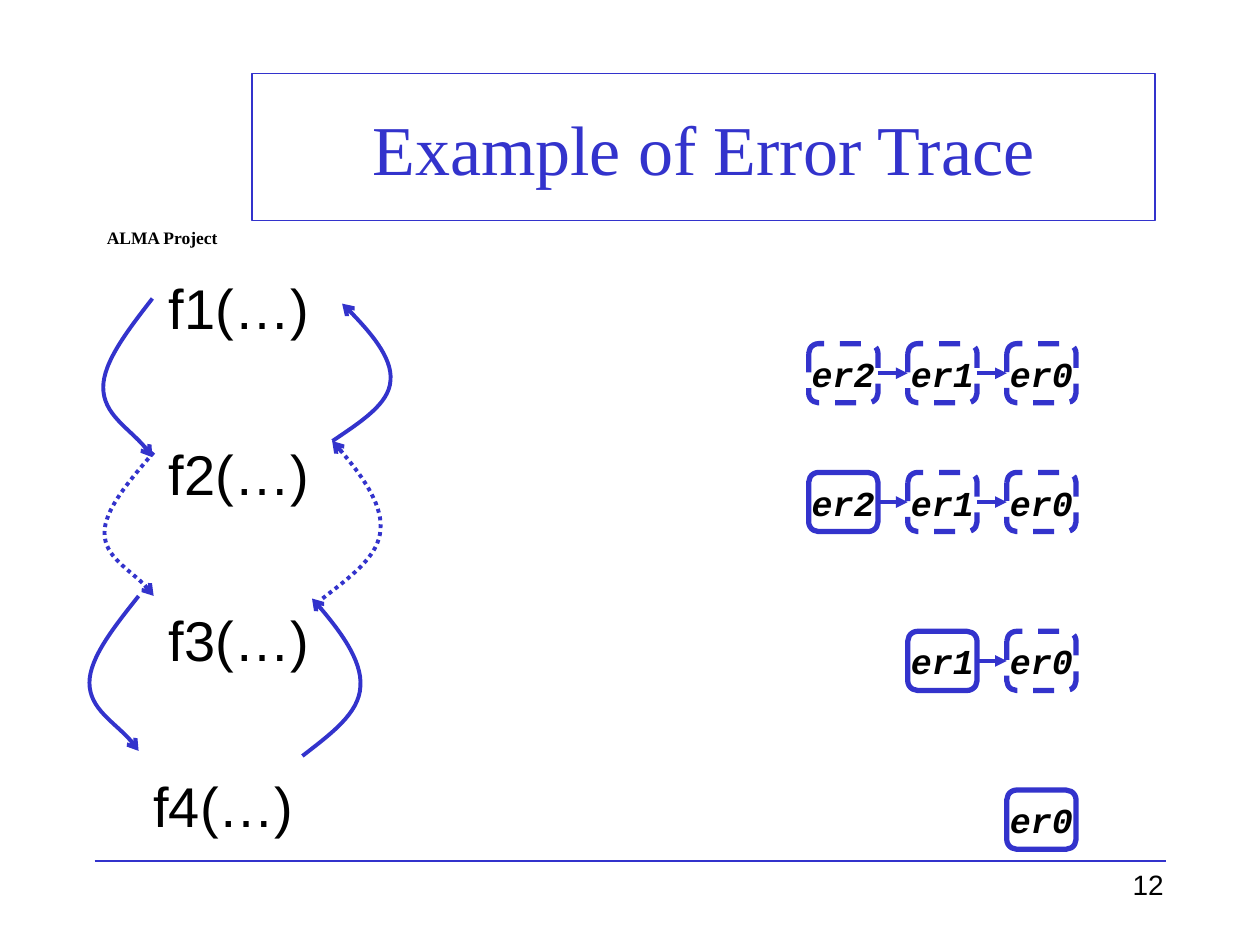
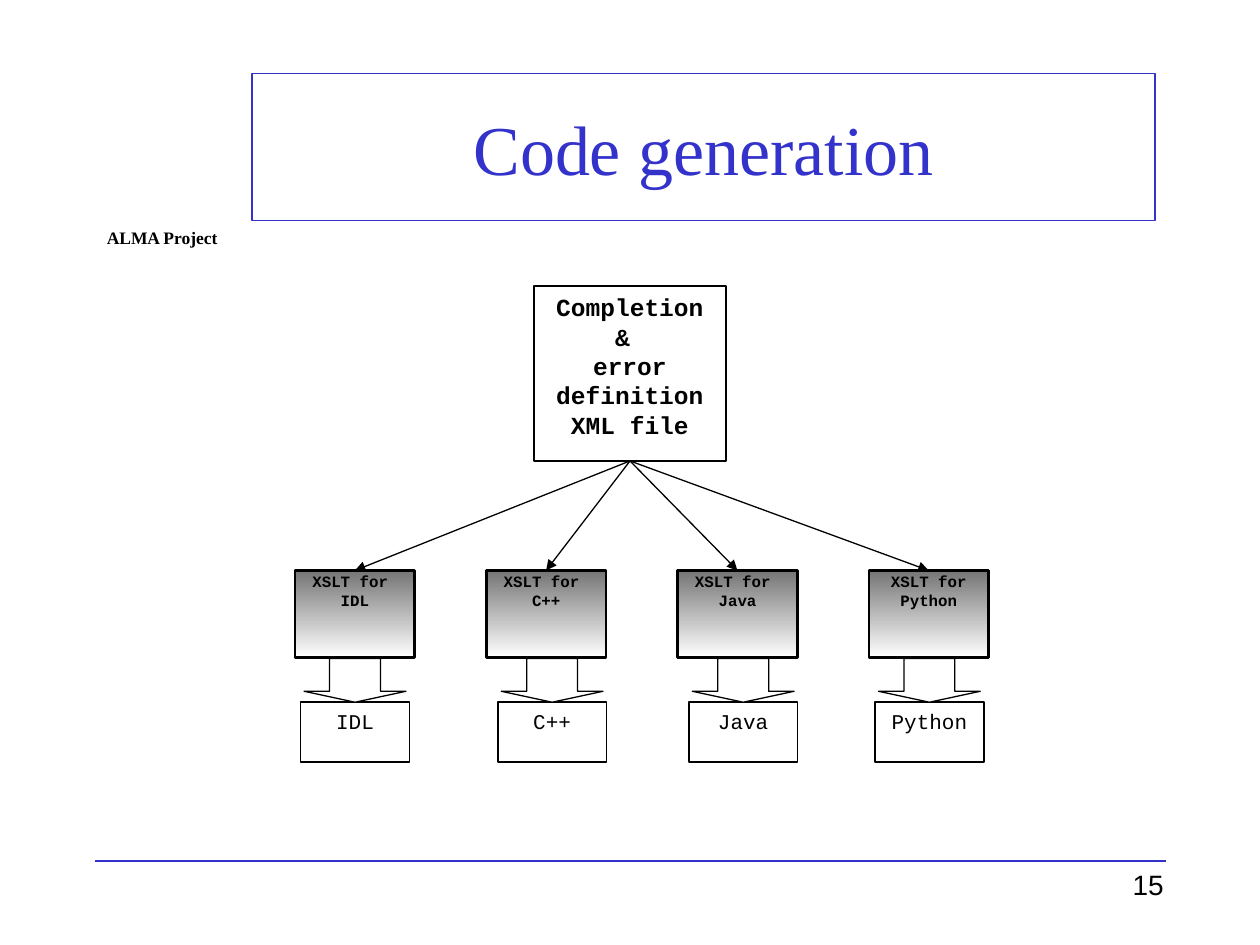
from dataclasses import dataclass
from itertools import pairwise
from typing import Any

from lxml.etree import SubElement
from pptx import Presentation
from pptx.dml.color import RGBColor
from pptx.enum.dml import MSO_LINE
from pptx.enum.shapes import MSO_CONNECTOR, MSO_SHAPE
from pptx.enum.text import MSO_ANCHOR, PP_ALIGN
from pptx.oxml.ns import qn
from pptx.util import Pt

COLORS = {"blue": "3333CC", "black": "000000", "white": "FFFFFF", "gray": "757575"}
SANS, SERIF, MONO = "Arial", "Times New Roman", "Courier New"
TOP, LEFT, BOTTOM, RIGHT = range(4)

# Points of the two call arcs, as fractions of width and height
CALL_PROFILE = [(1, 0), (0.5, 0.2), (0, 0.4), (0, 0.56), (0, 0.73), (0.7, 0.85), (1, 1)]
RETURN_PROFILE = [(0, 1), (0.47, 0.86), (0.94, 0.73), (0.96, 0.56), (1, 0.39),
                  (0.43, 0.11), (0.16, 0)]


@dataclass(frozen=True)
class Arc:
    left: float
    top: float
    width: float
    height: float
    profile: list
    dotted: bool = False


@dataclass(frozen=True)
class ErrorStack:
    top: float
    errors: tuple
    newest_is_solid: bool = True


@dataclass(frozen=True)
class Target:
    language: str
    label: str
    output_left: float


ARCS = [
    Arc(59, 170.6, 28.1, 90.7, CALL_PROFILE),
    Arc(59.7, 258.5, 28.1, 82, CALL_PROFILE, dotted=True),
    Arc(51.1, 340.6, 28.1, 88.5, CALL_PROFILE),
    Arc(172.8, 342, 34.5, 90, RETURN_PROFILE),
    Arc(184.3, 252, 34.5, 90, RETURN_PROFILE, dotted=True),
    Arc(190, 173.5, 34.5, 78.5, RETURN_PROFILE),
]
STACKS = [
    ErrorStack(196.4, ("er2", "er1", "er0"), newest_is_solid=False),
    ErrorStack(270, ("er2", "er1", "er0")),
    ErrorStack(360.8, ("er1", "er0")),
    ErrorStack(451.5, ("er0",)),
]
TARGETS = [
    Target("IDL", "XSLT for \nIDL", 171.8),
    Target("C++", "XSLT for \nC++", 284.4),
    Target("Java", "XSLT for \nJava", 393.6),
    Target("Python", "XSLT for Python", 500),
]


def rgb(name: str) -> RGBColor:
    return RGBColor.from_string(COLORS[name])


def write(frame: Any, text: str, *, size: float, font: str, color: str = "black",
          bold: bool = False, italic: bool = False, align: PP_ALIGN = PP_ALIGN.LEFT,
          indent: float = 0, before: float = 0, new: bool = False) -> None:
    """Fill the first paragraph, or a new one; line feeds become line breaks."""
    para = frame.add_paragraph() if new else frame.paragraphs[0]
    para.alignment = align
    if indent:
        para._p.get_or_add_pPr().set("marL", str(Pt(indent)))
    if before:
        para.space_before = Pt(before)
    for number, line in enumerate(text.split("\n")):
        if number:
            para.add_line_break()
        span = para.add_run()
        span.text = line
        span.font.size, span.font.name = Pt(size), font
        span.font.bold, span.font.italic = bold, italic
        span.font.color.rgb = rgb(color)
    for line_break in para._p.findall(qn("a:br")):
        SubElement(line_break, qn("a:rPr"), sz=str(int(size * 100)))


def add_text(page: Any, left: float, top: float, width: float, height: float) -> Any:
    frame = page.shapes.add_textbox(Pt(left), Pt(top), Pt(width), Pt(height)).text_frame
    frame.word_wrap = True
    return frame


def add_box(page: Any, left: float, top: float, width: float, height: float, *,
            kind: MSO_SHAPE = MSO_SHAPE.RECTANGLE, fill: str | None = "white",
            line: str = "black", weight: float = 1,
            anchor: MSO_ANCHOR = MSO_ANCHOR.TOP) -> Any:
    box = page.shapes.add_shape(kind, Pt(left), Pt(top), Pt(width), Pt(height))
    box.shadow.inherit = False
    if fill:
        box.fill.solid()
        box.fill.fore_color.rgb = rgb(fill)
    else:
        box.fill.background()
    box.line.color.rgb = rgb(line)
    box.line.width = Pt(weight)
    box.text_frame.word_wrap = True
    box.text_frame.vertical_anchor = anchor
    return box


def add_head(shape: Any, kind: str) -> None:
    """Put an arrowhead at the end of a shape whose line is already set."""
    SubElement(shape.element.spPr.find(qn("a:ln")), qn("a:tailEnd"), type=kind)


def add_line(page: Any, start: tuple = (0, 0), end: tuple = (0, 0), *,
             color: str = "black", weight: float = 1) -> Any:
    connector = page.shapes.add_connector(
        MSO_CONNECTOR.STRAIGHT, *(Pt(value) for value in (*start, *end)))
    connector.line.color.rgb = rgb(color)
    connector.line.width = Pt(weight)
    SubElement(connector.element.spPr, qn("a:effectLst"))
    return connector


def join(page: Any, source: Any, source_side: int, goal: Any, goal_side: int, *,
         color: str, weight: float) -> None:
    connector = add_line(page, color=color, weight=weight)
    connector.begin_connect(source, source_side)
    connector.end_connect(goal, goal_side)
    add_head(connector, "triangle")


def add_arc(page: Any, arc: Arc) -> None:
    """Draw two joined Bezier curves ending in an arrowhead."""
    points = [(Pt(arc.left + arc.width * x), Pt(arc.top + arc.height * y))
              for x, y in arc.profile]
    builder = page.shapes.build_freeform(*points[0])
    builder.add_line_segments(points[1:], close=False)
    curve = builder.convert_to_shape()
    outline = next(curve.element.iter(qn("a:path")))
    segments = outline.findall(qn("a:lnTo"))
    for first in range(0, len(segments), 3):
        bezier = SubElement(outline, qn("a:cubicBezTo"))
        for segment in segments[first:first + 3]:
            bezier.append(segment[0])
            outline.remove(segment)
    curve.shadow.inherit = False
    curve.fill.background()
    curve.line.color.rgb = rgb("blue")
    curve.line.width = Pt(2.25)
    if arc.dotted:
        curve.line.dash_style = MSO_LINE.ROUND_DOT
    add_head(curve, "arrow")


def add_page(deck: Any, title: str, number: int) -> Any:
    page = deck.slides.add_slide(deck.slide_layouts[6])
    write(add_text(page, 54, 126, 80, 19.4), "ALMA Project", size=10, font=SERIF, bold=True)
    add_line(page, (54, 492), (666, 492), color="blue")
    banner = add_box(page, 144, 42, 516, 84, fill=None, line="blue",
                     anchor=MSO_ANCHOR.MIDDLE)
    write(banner.text_frame, title, size=40, font=SERIF, color="blue",
          align=PP_ALIGN.CENTER)
    write(add_text(page, 522, 492, 150, 36), str(number), size=16, font=SANS,
          align=PP_ALIGN.RIGHT)
    return page


def add_error_stack(page: Any, stack: ErrorStack) -> None:
    """Draw the errors right-aligned, newest first, and chain them."""
    last_left, pitch = 575.3, 56.6
    boxes = []
    for position, name in enumerate(stack.errors):
        left = last_left - pitch * (len(stack.errors) - 1 - position)
        box = add_box(page, left, stack.top, 39.6, 33.8, kind=MSO_SHAPE.ROUNDED_RECTANGLE,
                      fill=None, line="blue", weight=3, anchor=MSO_ANCHOR.MIDDLE)
        if position or not stack.newest_is_solid:
            box.line.dash_style = MSO_LINE.DASH
        box.text_frame.word_wrap = False
        write(box.text_frame, name, size=20, font=MONO, bold=True, italic=True,
              align=PP_ALIGN.CENTER)
        boxes.append(box)
    for newer, older in pairwise(boxes):
        join(page, newer, RIGHT, older, LEFT, color="blue", weight=2.25)


def build_error_trace(deck: Any) -> None:
    page = add_page(deck, "Example of Error Trace", 12)
    calls = add_text(page, 54, 153, 612, 327)
    for position, (name, indent) in enumerate(
            [("f1(…)", 35.5), ("f2(…)", 35.5), ("f3(…)", 35.5), ("f4(…)", 26.6)]):
        write(calls, name, size=32, font=SANS, indent=indent,
              before=56.3 if position else 0, new=position > 0)
    for arc in ARCS:
        add_arc(page, arc)
    for stack in STACKS:
        add_error_stack(page, stack)


def add_stylesheet(page: Any, left: float, label: str) -> Any:
    box = add_box(page, left, 326, 68.4, 49.8, weight=1.5)
    box.fill.gradient()
    box.fill.gradient_angle = 270
    for stop, color, position in zip(box.fill.gradient_stops, ("gray", "white"), (0, 1)):
        stop.color.rgb = rgb(color)
        stop.position = position
    frame = box.text_frame
    frame.margin_left = frame.margin_right = Pt(4.3)
    frame.margin_top = frame.margin_bottom = Pt(0.7)
    write(frame, label, size=9, font=MONO, bold=True, align=PP_ALIGN.CENTER)
    return box


def build_code_generation(deck: Any) -> None:
    page = add_page(deck, "Code generation", 15)
    definition = add_box(page, 305.2, 163.4, 109.6, 100)
    write(definition.text_frame, "Completion & \nerror definition XML file", size=14,
          font=MONO, bold=True, align=PP_ALIGN.CENTER)
    for column, target in enumerate(TARGETS):
        stylesheet = add_stylesheet(page, 168.6 + 109.3 * column, target.label)
        join(page, definition, BOTTOM, stylesheet, TOP, color="black", weight=0.75)
        output = add_box(page, target.output_left, 401.3, 62.2, 34)
        write(output.text_frame, target.language, size=12, font=MONO,
              align=PP_ALIGN.CENTER)
        arrow = add_box(page, target.output_left + 2, 376.3, 58.2, 25,
                        kind=MSO_SHAPE.DOWN_ARROW, weight=0.75)
        arrow.adjustments[0], arrow.adjustments[1] = 0.5, 0.25


def main() -> None:
    deck = Presentation()
    deck.slide_width, deck.slide_height = Pt(720), Pt(540)
    build_error_trace(deck)
    build_code_generation(deck)
    deck.save("out.pptx")


if __name__ == "__main__":
    main()
